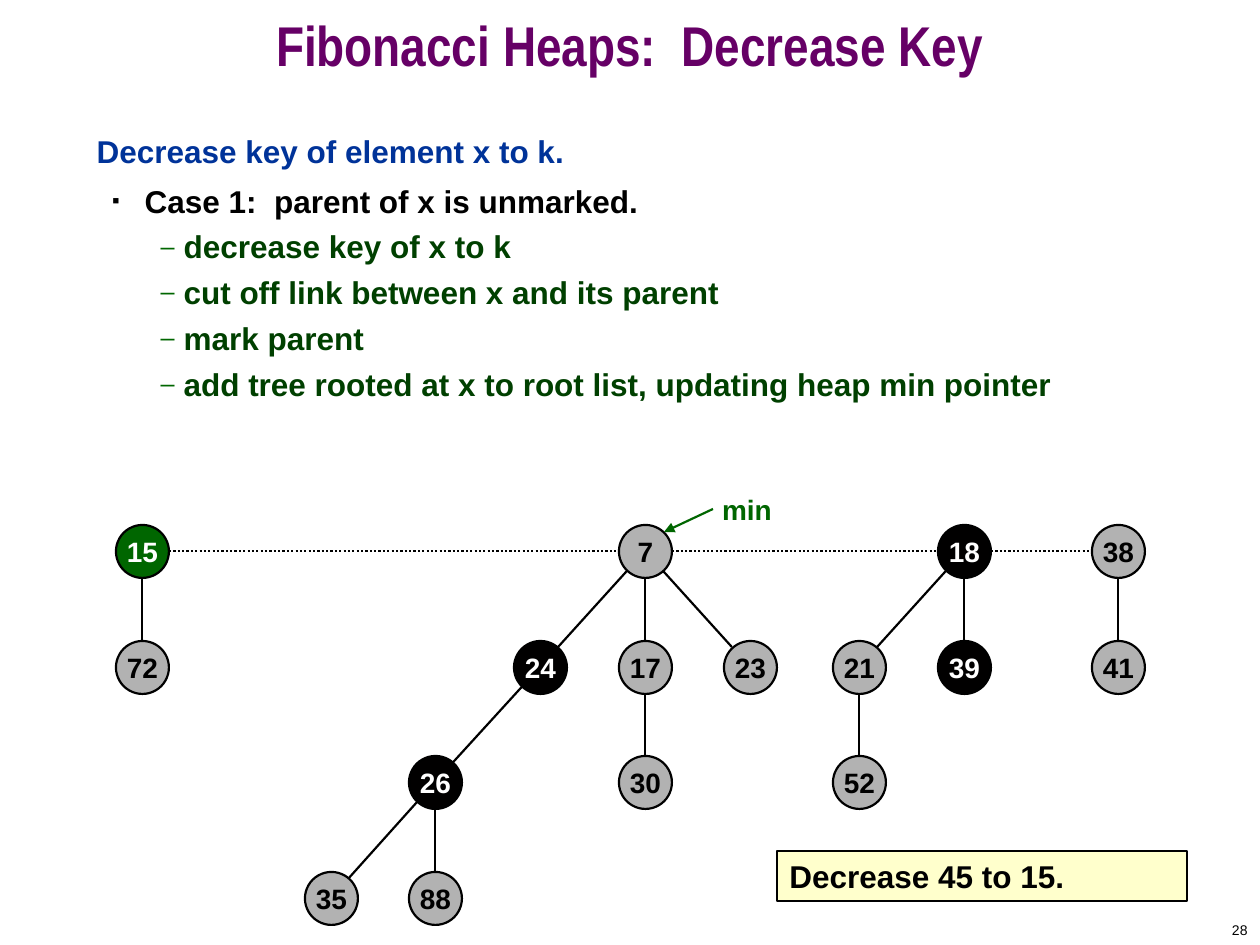
"""Build a slide on the decrease-key operation of Fibonacci heaps."""
from math import hypot

from lxml.etree import SubElement
from pptx import Presentation
from pptx.dml.color import RGBColor
from pptx.enum.dml import MSO_LINE
from pptx.enum.shapes import MSO_CONNECTOR, MSO_SHAPE
from pptx.enum.text import MSO_ANCHOR, MSO_AUTO_SIZE, PP_ALIGN
from pptx.oxml.ns import qn
from pptx.util import Pt

PX = 914400 / 126
COLORS = {
    "title": "660066", "heading": "003399", "black": "000000", "step": "004000",
    "green": "006600", "gray": "B2B2B2", "marked": "010000", "white": "FFFFFF",
    "note": "FFFFCC",
}
RADIUS = 27
ROWS = [551, 667, 782, 898]


def write(paragraph, text, size, color, bold=True, font="Arial"):
    paragraph.text = text
    for span in paragraph.runs:
        span.font.name = font
        span.font.size = Pt(size)
        span.font.bold = bold
        span.font.color.rgb = RGBColor.from_string(COLORS[color])


def connect(x1, y1, x2, y2, color="black"):
    line = page.shapes.add_connector(
        MSO_CONNECTOR.STRAIGHT, *[round(v * PX) for v in (x1, y1, x2, y2)])
    line.line.color.rgb = RGBColor.from_string(COLORS[color])
    line.line.width = Pt(1.25)
    SubElement(line._element.spPr, qn("a:effectLst"))
    return line


deck = Presentation()
deck.slide_width, deck.slide_height = round(1260 * PX), round(945 * PX)
page = deck.slides.add_slide(deck.slide_layouts[1])

title, body = page.shapes.title, page.placeholders[1]
for box, bounds in [(title, (0, 0, 1260, 105)), (body, (84, 126, 1081, 746))]:
    box.left, box.top, box.width, box.height = [round(v * PX) for v in bounds]
    box.text_frame.auto_size = MSO_AUTO_SIZE.NONE
    box.text_frame.word_wrap = True

title.text_frame.vertical_anchor = MSO_ANCHOR.MIDDLE
heading = title.text_frame.paragraphs[0]
write(heading, "Fibonacci Heaps:  Decrease Key", 32, "title", font="Arial Narrow")
heading.alignment = PP_ALIGN.CENTER
heading.line_spacing = 0.7

levels = [
    dict(color="heading", margin=0, indent=0, spacing=1.0, bullet=None),
    dict(color="black", margin=48, indent=-32, spacing=1.1, bullet=("■", "black", 35)),
    dict(color="step", margin=87, indent=-23, spacing=1.0, bullet=("–", "green", 80)),
]
outline = [
    (0, "Decrease key of element x to k."),
    (1, "Case 1:  parent of x is unmarked."),
    (2, "decrease key of x to k"),
    (2, "cut off link between x and its parent"),
    (2, "mark parent"),
    (2, "add tree rooted at x to root list, updating heap min pointer"),
]
body.text_frame.text = "\n".join(text for _, text in outline)
for paragraph, (level, text) in zip(body.text_frame.paragraphs, outline):
    style = levels[level]
    write(paragraph, text, 18, style["color"])
    paragraph.level = level
    paragraph.line_spacing = style["spacing"]
    paragraph.space_before = Pt(4.5)
    properties = paragraph._p.get_or_add_pPr()
    properties.set("marL", str(round(style["margin"] * PX)))
    properties.set("indent", str(round(style["indent"] * PX)))
    if style["bullet"]:
        character, color, percent = style["bullet"]
        bullet_color = SubElement(properties, qn("a:buClr"))
        SubElement(bullet_color, qn("a:srgbClr"), val=COLORS[color])
        SubElement(properties, qn("a:buSzPct"), val=str(percent * 1000))
        SubElement(properties, qn("a:buFont"), typeface="Arial")
        SubElement(properties, qn("a:buChar"), char=character)
    else:
        SubElement(properties, qn("a:buNone"))

nodes = {
    "15": (142, 0, None), "7": (645, 0, None), "18": (964, 0, None), "38": (1118, 0, None),
    "72": (142, 1, "15"), "24": (540, 1, "7"), "17": (645, 1, "7"), "23": (750, 1, "7"),
    "21": (859, 1, "18"), "39": (964, 1, "18"), "41": (1118, 1, "38"),
    "26": (435, 2, "24"), "30": (645, 2, "17"), "52": (859, 2, "21"),
    "35": (331, 3, "26"), "88": (435, 3, "26"),
}
fills = {"15": "green", **dict.fromkeys(["18", "24", "26", "39"], "marked")}

for key, (x, row, parent) in nodes.items():
    y = ROWS[row]
    if parent:
        parent_x, parent_y = nodes[parent][0], ROWS[nodes[parent][1]]
        length = hypot(x - parent_x, y - parent_y)
        dx, dy = RADIUS * (x - parent_x) / length, RADIUS * (y - parent_y) / length
        connect(parent_x + dx, parent_y + dy, x - dx, y - dy)
    fill = fills.get(key, "gray")
    node = page.shapes.add_shape(
        MSO_SHAPE.OVAL, *[round(v * PX) for v in (x - 26, y - 26, 53, 53)])
    node.shadow.inherit = False
    node.fill.solid()
    node.fill.fore_color.rgb = RGBColor.from_string(COLORS[fill])
    node.line.color.rgb = RGBColor.from_string(COLORS["black"])
    node.line.width = Pt(1.25)
    node.text_frame.word_wrap = False
    node.text_frame.vertical_anchor = MSO_ANCHOR.MIDDLE
    label = node.text_frame.paragraphs[0]
    write(label, key, 16, "black" if fill == "gray" else "white")
    label.alignment = PP_ALIGN.CENTER

roots = [x for x, row, _ in nodes.values() if row == 0]
for left, right in zip(roots, roots[1:]):
    link = connect(left + RADIUS, ROWS[0], right - RADIUS, ROWS[0])
    link.line.dash_style = MSO_LINE.ROUND_DOT

pointer = connect(664, 532, 713, 509, "green")
SubElement(pointer.line._get_or_add_ln(), qn("a:headEnd"), type="triangle")

labels = [
    ("min", (697, 483, 100, 53), 16, "green", True, PP_ALIGN.CENTER),
    ("28", (998, 914, 262, 31), 8, "black", False, PP_ALIGN.RIGHT),
]
for text, bounds, size, color, bold, alignment in labels:
    box = page.shapes.add_textbox(*[round(v * PX) for v in bounds])
    box.text_frame.word_wrap = True
    box.text_frame.vertical_anchor = MSO_ANCHOR.MIDDLE
    write(box.text_frame.paragraphs[0], text, size, color, bold)
    box.text_frame.paragraphs[0].alignment = alignment

note = page.shapes.add_shape(
    MSO_SHAPE.RECTANGLE, *[round(v * PX) for v in (777, 851, 410, 50)])
note.shadow.inherit = False
note.fill.solid()
note.fill.fore_color.rgb = RGBColor.from_string(COLORS["note"])
note.line.color.rgb = RGBColor.from_string(COLORS["black"])
note.line.width = Pt(1.25)
note.text_frame.word_wrap = True
note.text_frame.vertical_anchor = MSO_ANCHOR.TOP
write(note.text_frame.paragraphs[0], "Decrease 45 to 15.", 18, "black")
note.text_frame.paragraphs[0].alignment = PP_ALIGN.LEFT

deck.save("out.pptx")
